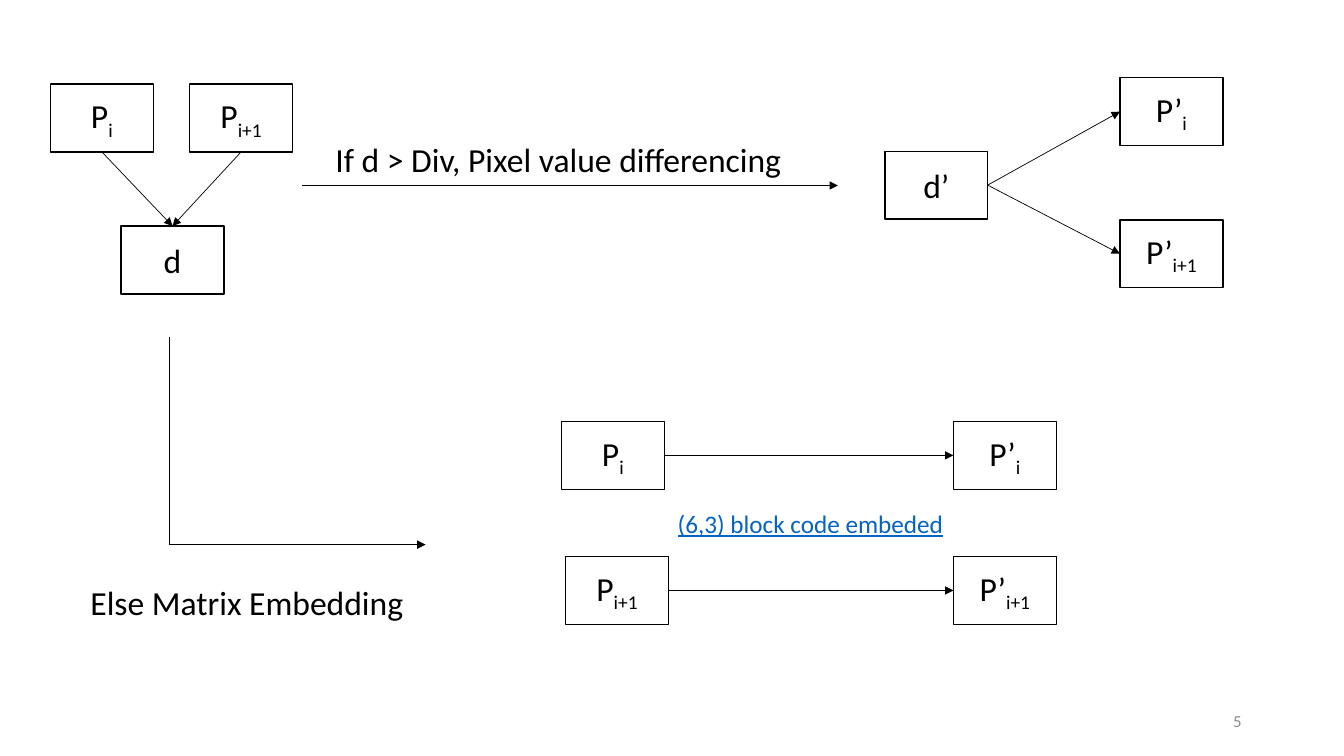
from pptx import Presentation
from pptx.dml.color import RGBColor
from pptx.enum.shapes import MSO_CONNECTOR, MSO_SHAPE
from pptx.enum.text import MSO_ANCHOR, PP_ALIGN
from pptx.oxml.ns import qn
from pptx.util import Pt
from lxml import etree

RECTANGLE = MSO_SHAPE.RECTANGLE
STRAIGHT = MSO_CONNECTOR.STRAIGHT
MIDDLE, TOP_ANCHOR = MSO_ANCHOR.MIDDLE, MSO_ANCHOR.TOP
LEFT_ALIGN, CENTER, RIGHT_ALIGN = PP_ALIGN.LEFT, PP_ALIGN.CENTER, PP_ALIGN.RIGHT
TOP, LEFT, BOTTOM, RIGHT = range(4)


def color(value):
    """Turn a hex string into a colour."""
    return RGBColor.from_string(value)


class DiagramSlide:
    """Hold the diagram style and draw its elements on one slide."""

    ink, paper, font = "000000", "FFFFFF", "Calibri"
    box_width, box_height = 73.5, 48.5

    def __init__(self, presentation):
        """Add a blank slide."""
        self.shapes = presentation.slides.add_slide(presentation.slide_layouts[6]).shapes

    def add_text(self, paragraph, text, ink=None, baseline=None, **formats):
        """Add one formatted run."""
        run = paragraph.add_run()
        run.text = text
        for name, value in {"name": self.font, "size": Pt(24), **formats}.items():
            setattr(run.font, name, value)
        run.font.color.rgb = color(ink or self.ink)
        if baseline:
            run._r.get_or_add_rPr().set("baseline", str(baseline))

    def box(self, left, top, symbol, index=""):
        """Draw a box with a symbol and its subscript."""
        shape = self.shapes.add_shape(
            RECTANGLE, Pt(left), Pt(top), Pt(self.box_width), Pt(self.box_height))
        shape.shadow.inherit = False
        shape.fill.solid()
        shape.fill.fore_color.rgb = color(self.paper)
        shape.line.color.rgb = color(self.ink)
        shape.line.width = Pt(1)
        shape.text_frame.vertical_anchor = MIDDLE
        paragraph = shape.text_frame.paragraphs[0]
        paragraph.alignment = CENTER
        self.add_text(paragraph, symbol)
        if index:
            self.add_text(paragraph, index, baseline=-25000)
        return shape

    def label(self, left, top, width, height, text,
              alignment=LEFT_ALIGN, anchor=TOP_ANCHOR, **formats):
        """Place a line of text."""
        frame = self.shapes.add_textbox(Pt(left), Pt(top), Pt(width), Pt(height)).text_frame
        frame.word_wrap = True
        frame.vertical_anchor = anchor
        frame.paragraphs[0].alignment = alignment
        self.add_text(frame.paragraphs[0], text, **formats)

    def line(self, start=(0, 0), end=(0, 0), arrow=True):
        """Draw a thin line between two points."""
        connector = self.shapes.add_connector(STRAIGHT, *map(Pt, start + end))
        connector.line.color.rgb = color(self.ink)
        connector.line.width = Pt(0.5)
        if arrow:
            etree.SubElement(connector.line._get_or_add_ln(), qn("a:tailEnd"), type="triangle")
        etree.SubElement(connector._element.spPr, qn("a:effectLst"))
        return connector

    def join(self, source, source_side, target, target_side):
        """Draw an arrow glued to two boxes."""
        connector = self.line()
        connector.begin_connect(source, source_side)
        connector.end_connect(target, target_side)


def main():
    """Build the embedding diagram."""
    presentation = Presentation()
    presentation.slide_width, presentation.slide_height = Pt(960), Pt(540)
    slide = DiagramSlide(presentation)

    difference = slide.box(86.5, 161.5, "d")
    new_difference = slide.box(632, 108, "d’")
    rows = (("i", 36, 55.5, 401, 301), ("i+1", 135.5, 157, 404, 397.5))
    for index, pixel_left, result_top, code_left, code_top in rows:
        pixel = slide.box(pixel_left, 60, "P", index)
        slide.join(pixel, BOTTOM, difference, TOP)
        result = slide.box(800, result_top, "P’", index)
        slide.join(new_difference, RIGHT, result, LEFT)
        coded = slide.box(code_left, code_top, "P", index)
        embedded = slide.box(681, code_top, "P’", index)
        slide.join(coded, RIGHT, embedded, LEFT)

    slide.line((216, 132.5), (598.5, 132.5))
    corner = (121, 389)
    slide.line((121, 240.5), corner, arrow=False)
    slide.line(corner, (304, 389))

    slide.label(232.5, 96, 341.5, 36, "If d > Div, Pixel value differencing")
    slide.label(57.5, 412, 274.5, 65.5, "Else Matrix Embedding")
    slide.label(477, 359.5, 223, 29, "(6,3) block code embeded",
                ink="0563C1", size=Pt(18), underline=True)
    slide.label(678, 500.5, 216, 28.5, "5", RIGHT_ALIGN, MIDDLE, ink="8C8C8C", size=Pt(12))
    presentation.save("out.pptx")


if __name__ == "__main__":
    main()
